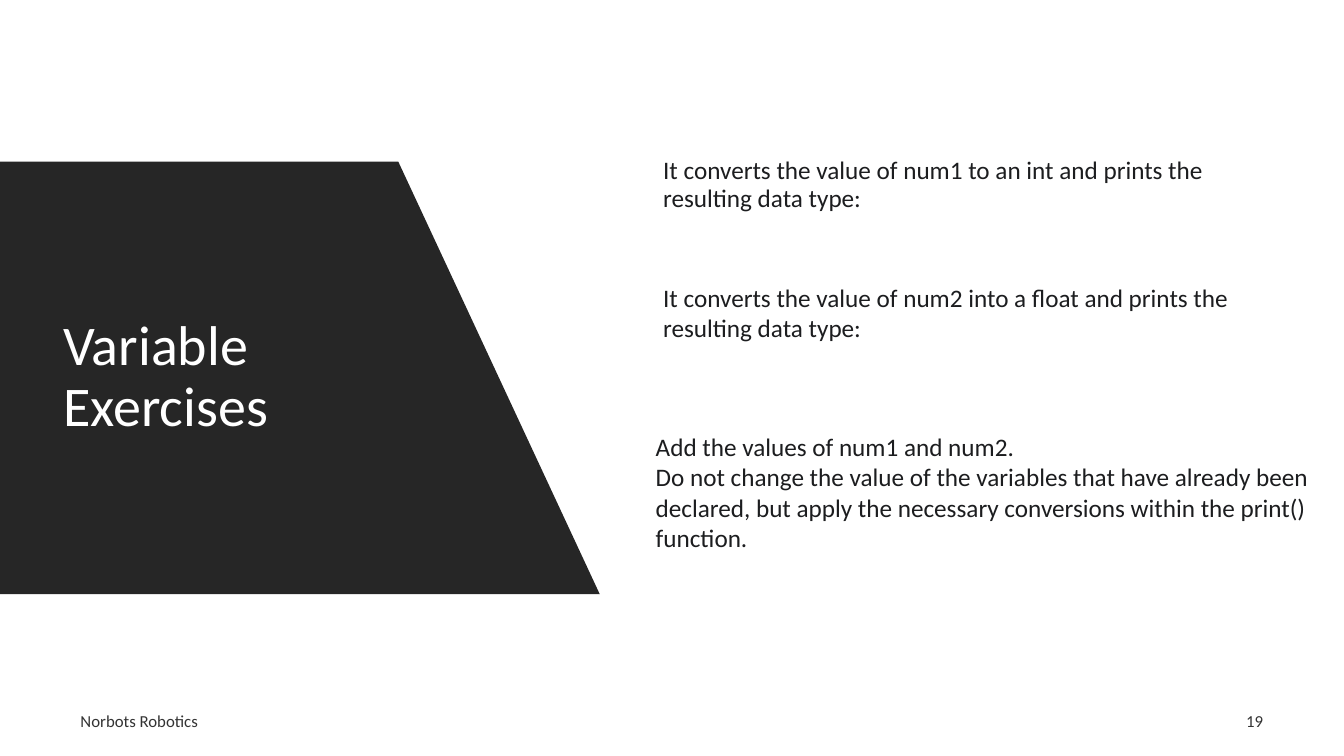
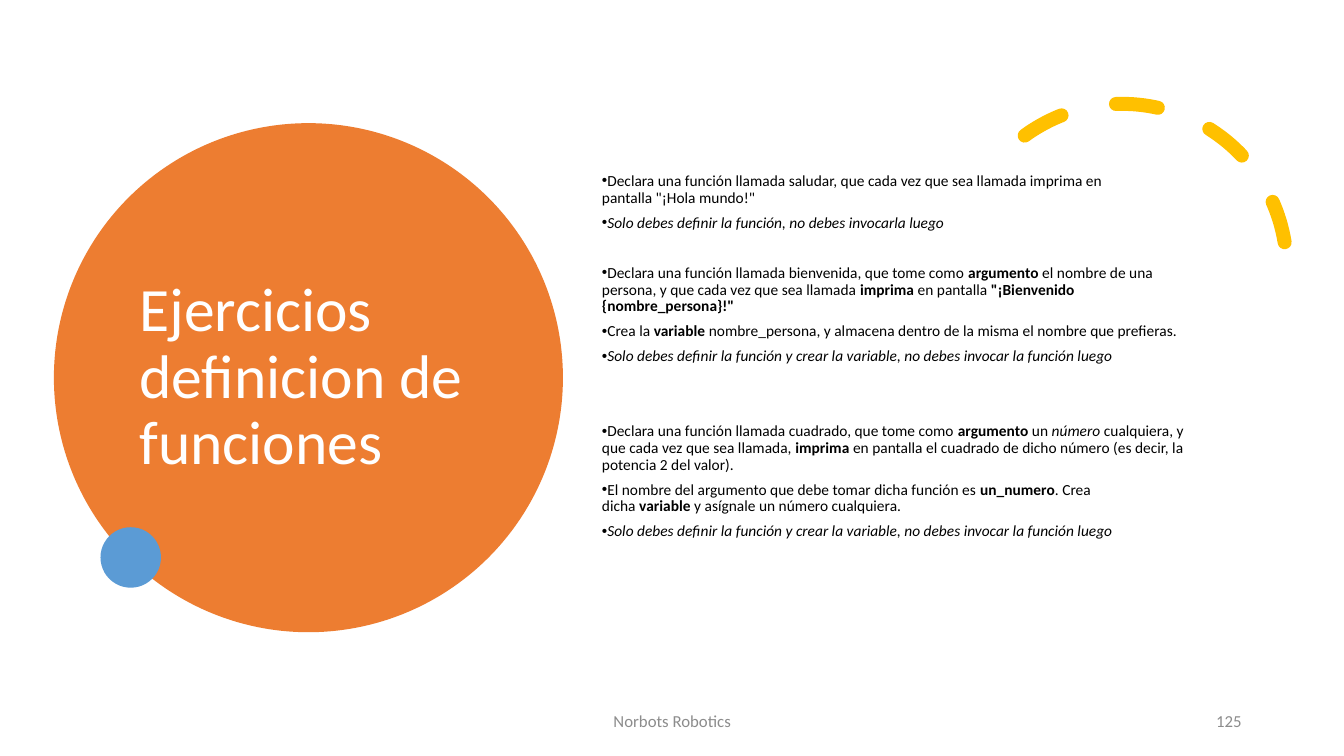
import pptx
import pptx.dml.color
import pptx.enum.dml
import pptx.enum.shapes
import pptx.enum.text
import pptx.oxml.ns
import pptx.util
from lxml import etree

Pt = pptx.util.Pt
ALIGN = pptx.enum.text.PP_ALIGN
ANCHOR = pptx.enum.text.MSO_ANCHOR
SHAPE = pptx.enum.shapes.MSO_SHAPE

FONT = "Calibri"
COLORS = {
    "white": "FFFFFF",
    "charcoal": "262626",
    "ink": "1C1D1F",
    "black": "000000",
    "footer_dark": "333333",
    "footer_grey": "8C8C8C",
    "orange": "ED7D31",
    "blue": "5B9BD5",
    "yellow": "FFC000",
}
FOOTER_TEXT = "Norbots Robotics"
FOOTER_TOP, FOOTER_HEIGHT = 500.5, 28.8
NO_BREAK_SPACE = chr(160)

# Exercise groups: *bold*, ~italic~, ^ for a no-break space
NO_CALL = "~Solo debes definir la función y crear la variable, no debes invocar la función luego~"
FUNCTION_EXERCISES = [
    [
        "Declara una función llamada^saludar, que cada vez que sea llamada imprima en "
        'pantalla^"¡Hola mundo!"',
        "~Solo debes definir la función, no debes invocarla luego~",
    ],
    [
        "Declara una función llamada^bienvenida, que tome como^*argumento^*el nombre de una persona, "
        'y que cada vez que sea llamada^*imprima^*en pantalla^*"¡Bienvenido {nombre_persona}!"*',
        "Crea la^*variable^*nombre_persona, y almacena dentro de la misma el nombre que prefieras.",
        NO_CALL,
    ],
    [
        "Declara una función llamada^cuadrado, que tome como^*argumento^*un^~número^~cualquiera, "
        "y que cada vez que sea llamada,^*imprima^*en pantalla el cuadrado de dicho número^"
        "(es decir, la potencia 2 del valor).",
        "El nombre del argumento que debe tomar dicha función es^*un_numero*. "
        "Crea dicha^*variable^*y asígnale un número cualquiera.",
        NO_CALL,
    ],
]
GROUP_GAPS = [0, 18, 35.8]


def rgb(name):
    return pptx.dml.color.RGBColor.from_string(COLORS[name])


def format_font(font, size, color):
    font.name = FONT
    font.size = Pt(size)
    font.color.rgb = rgb(color)


def fill_text(shape, lines, size, color, anchor=ANCHOR.TOP, align=ALIGN.LEFT, spacing=1.0):
    frame = shape.text_frame
    frame.word_wrap = True
    frame.vertical_anchor = anchor
    frame.text = "\n".join(lines)
    for paragraph in frame.paragraphs:
        paragraph.alignment = align
        paragraph.line_spacing = spacing
        for run in paragraph.runs:
            format_font(run.font, size, color)


def add_text(slide, box, *content, **options):
    fill_text(slide.shapes.add_textbox(*map(Pt, box)), *content, **options)


def paint(shape, color):
    shape.shadow.inherit = False
    shape.fill.solid()
    shape.fill.fore_color.rgb = rgb(color)
    shape.line.fill.background()


def add_painted_shape(slide, kind, box, color):
    shape = slide.shapes.add_shape(kind, *map(Pt, box))
    paint(shape, color)
    return shape


def add_title(slide, box, title, size):
    add_text(slide, box, [title], size, "white", anchor=ANCHOR.MIDDLE, spacing=0.9)


def add_footer(slide, label_span, number_span, number, color, label_align):
    parts = [(label_span, FOOTER_TEXT, label_align), (number_span, number, ALIGN.RIGHT)]
    for (left, width), text, align in parts:
        box = (left, FOOTER_TOP, width, FOOTER_HEIGHT)
        add_text(slide, box, [text], 12, color, anchor=ANCHOR.MIDDLE, align=align)


def add_title_wedge(slide, box, title):
    """Slanted dark panel with the slide title."""
    left, top, width, height = box
    right_top = left + width * 0.664
    builder = slide.shapes.build_freeform(Pt(left), Pt(top))
    corners = [(right_top, top), (left + width, top + height), (left, top + height)]
    builder.add_line_segments([(Pt(x), Pt(y)) for x, y in corners], close=True)
    paint(builder.convert_to_shape(), "charcoal")
    add_title(slide, (left + 38.2, top + 38, 257, height - 76), title, 40)


def add_variable_tasks(slide, box):
    left, top, width, height = box
    add_text(slide, (left, top, 432.7, 77),
             ["It converts the value of num1 to an int and prints the resulting data type:"],
             18, "ink", spacing=0.9)
    add_text(slide, (left, top + 88.6, 480, 51),
             ["It converts the value of num2 into a float and prints the resulting data type:"],
             18, "ink")
    # White panel with the last task
    panel = add_painted_shape(slide, SHAPE.RECTANGLE,
                              (left + 1.8, top + height - 87, width - 1.8, 87), "white")
    fill_text(panel,
              ["Add the values of num1 and num2.",
               "Do not change the value of the variables that have already been declared, "
               "but apply the necessary conversions within the print() function."],
              18, "ink", anchor=ANCHOR.MIDDLE)
    frame = panel.text_frame
    frame.margin_left = frame.margin_right = frame.margin_top = frame.margin_bottom = 0


def add_title_disc(slide, left, top, diameter, title):
    """Large title circle."""
    add_painted_shape(slide, SHAPE.OVAL, (left, top, diameter, diameter), "orange")
    add_title(slide, (left + 54, top + 22, 254.9, 320.4), title, 44)


def add_dashed_arc(slide, left, top, diameter):
    arc = slide.shapes.add_shape(SHAPE.ARC, Pt(left), Pt(top), Pt(diameter), Pt(diameter))
    arc.shadow.inherit = False
    arc.adjustments[0] = 158.17
    arc.adjustments[1] = 17.81
    arc.rotation = 330.2
    arc.fill.background()
    arc.line.color.rgb = rgb("yellow")
    arc.line.width = Pt(10)
    arc.line.dash_style = pptx.enum.dml.MSO_LINE.DASH
    arc.element.spPr.find(pptx.oxml.ns.qn("a:ln")).set("cap", "rnd")


def add_bullet(paragraph):
    properties = paragraph._p.get_or_add_pPr()
    properties.set("marL", "0")
    properties.set("indent", str(-Pt(18)))
    for tag, name, value in (("a:buFont", "typeface", "Arial"), ("a:buChar", "char", "•")):
        etree.SubElement(properties, pptx.oxml.ns.qn(tag)).set(name, value)


def add_marked_runs(paragraph, text):
    for bold_index, part in enumerate(text.replace("^", NO_BREAK_SPACE).split("*")):
        for italic_index, piece in enumerate(part.split("~")):
            if piece:
                run = paragraph.add_run()
                run.text = piece
                format_font(run.font, 11, "black")
                run.font.bold = bold_index % 2 == 1
                run.font.italic = italic_index % 2 == 1


def add_exercise_list(slide, box, groups):
    frame = slide.shapes.add_textbox(*map(Pt, box)).text_frame
    frame.word_wrap = True
    paragraph = frame.paragraphs[0]
    for gap, group in zip(GROUP_GAPS, groups):
        for index, text in enumerate(group):
            if gap or index:
                paragraph = frame.add_paragraph()
            add_bullet(paragraph)
            paragraph.line_spacing = 0.9
            paragraph.space_before = Pt(0 if index else gap)
            paragraph.space_after = Pt(6)
            add_marked_runs(paragraph, text)


def build_variable_slide(slide):
    add_title_wedge(slide, (0, 115.4, 428.4, 309), "Variable Exercises")
    add_footer(slide, (50.4, 519), (869, 40.3), "19", "footer_dark", ALIGN.LEFT)
    add_variable_tasks(slide, (466.6, 109.4, 493.9, 285.5))


def build_function_slide(slide):
    add_title_disc(slide, 38.5, 88, 363.6, "Ejercicios definicion de funciones")
    add_dashed_arc(slide, 683.8, 74.2, 235.4)
    add_painted_shape(slide, SHAPE.OVAL, (71.8, 376.6, 43.2, 43.2), "blue")
    add_exercise_list(slide, (422.9, 120.2, 435.6, 309.6), FUNCTION_EXERCISES)
    add_footer(slide, (318.2, 324), (678, 216), "125", "footer_grey", ALIGN.CENTER)


def main():
    presentation = pptx.Presentation()
    presentation.slide_width, presentation.slide_height = Pt(960), Pt(540)
    for build in (build_variable_slide, build_function_slide):
        build(presentation.slides.add_slide(presentation.slide_layouts[6]))
    presentation.save("out.pptx")


if __name__ == "__main__":
    main()
